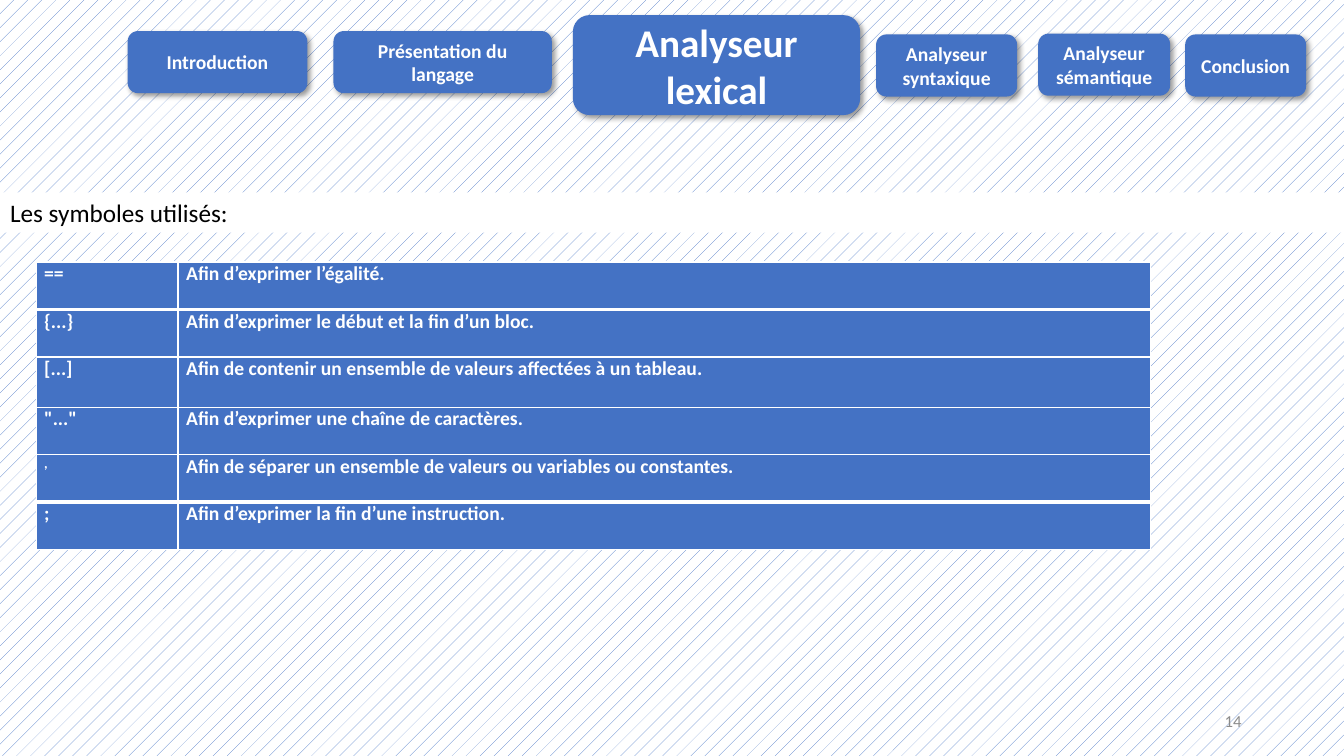
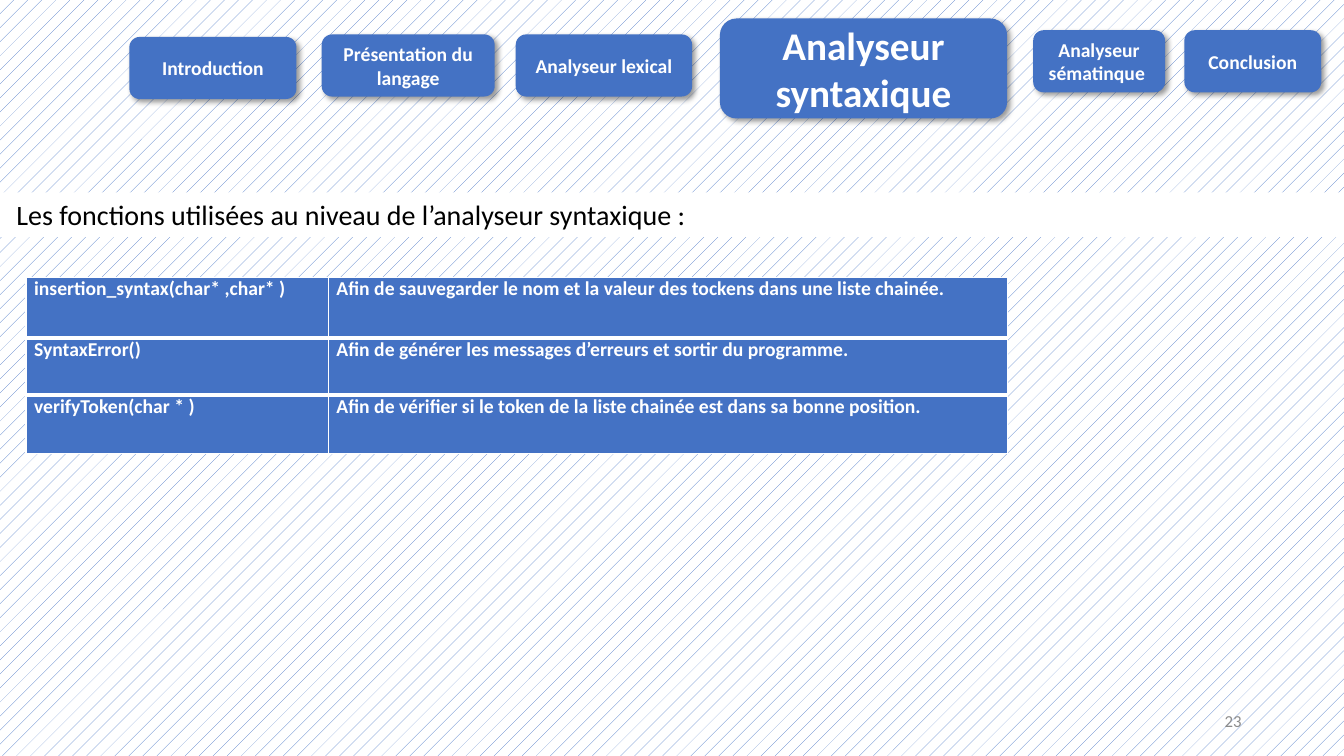
import dataclasses

import lxml.etree
import pptx
import pptx.dml.color
import pptx.enum.dml
import pptx.enum.shapes
import pptx.enum.text
import pptx.oxml.ns
import pptx.util

ALIGN = pptx.enum.text.PP_ALIGN
MIDDLE = pptx.enum.text.MSO_ANCHOR.MIDDLE
qn = pptx.oxml.ns.qn


@dataclasses.dataclass(frozen=True)
class Theme:
    font: str = "Calibri"
    blue: str = "4472C4"
    white: str = "FFFFFF"
    black: str = "000000"
    grey: str = "8C8C8C"
    body: int = 14
    big: int = 28
    foot: int = 12
    tiny: int = 10
    thin: int = 1
    thick: int = 3


def rgb(code):
    return pptx.dml.color.RGBColor.from_string(code)


def child(node, tag, **attrs):
    return lxml.etree.SubElement(
        node, qn(tag), {key: str(val) for key, val in attrs.items()})


class Deck:
    cols = 160
    rows = 90
    unit = pptx.util.Inches(1 / 12)

    def __init__(self, theme):
        self.theme = theme
        self.prs = pptx.Presentation()
        self.prs.slide_width, self.prs.slide_height = self.grid(self.cols, self.rows)
        fill = self.prs.slide_master.background.fill
        fill.patterned()
        fill.pattern = pptx.enum.dml.MSO_PATTERN.PERCENT_5
        fill.fore_color.rgb = rgb(theme.blue)
        fill.back_color.rgb = rgb(theme.white)
        self.slide = None

    def grid(self, *spans):
        return [round(span * self.unit) for span in spans]

    def paint(self, item, code):
        item.fill.solid()
        item.fill.fore_color.rgb = rgb(code)

    def label(self, frame, text, size, code, bold=False, align=ALIGN.LEFT):
        para = frame.paragraphs[0]
        para.alignment = align
        run = para.add_run()
        run.text = text
        font = run.font
        font.name, font.size, font.bold = self.theme.font, pptx.util.Pt(size), bold
        font.color.rgb = rgb(code)
        return para

    def page(self, number, title, size, high):
        self.slide = self.prs.slides.add_slide(self.prs.slide_layouts[5])
        self.band(title, size, high)
        self.number(number)

    def band(self, text, size, high):
        band = self.slide.shapes.title
        band.left, band.top, band.width, band.height = self.grid(
            0, 22.9, self.cols, high)
        self.paint(band, self.theme.white)
        frame = band.text_frame
        frame.auto_size = pptx.enum.text.MSO_AUTO_SIZE.NONE
        frame.vertical_anchor = MIDDLE
        self.label(frame, text, size, self.theme.black)

    def number(self, number):
        box = self.slide.shapes.add_textbox(*self.grid(113, 83.4, 36, 4.8))
        frame = box.text_frame
        frame.word_wrap = True
        frame.vertical_anchor = MIDDLE
        self.label(frame, str(number), self.theme.foot, self.theme.grey,
                   align=ALIGN.RIGHT)

    def tab(self, text, left, top, wide, high, size):
        kind = pptx.enum.shapes.MSO_SHAPE.ROUNDED_RECTANGLE
        tab = self.slide.shapes.add_shape(kind, *self.grid(left, top, wide, high))
        self.paint(tab, self.theme.blue)
        tab.line.fill.background()
        self.shade(tab)
        frame = tab.text_frame
        frame.word_wrap = True
        frame.vertical_anchor = MIDDLE
        self.label(frame, text, size, self.theme.white, True, ALIGN.CENTER)

    def shade(self, shape):
        shape.shadow.inherit = False
        effects = shape.element.spPr.find(qn("a:effectLst"))
        outer = child(effects, "a:outerShdw", blurRad=pptx.util.Pt(4),
                      dist=pptx.util.Pt(3), dir=45 * 60000, algn="tl",
                      rotWithShape=0)
        child(child(outer, "a:srgbClr", val=self.theme.black), "a:alpha", val=40000)

    def menu(self, tabs, active):
        for place, (text, left, top, wide) in enumerate(tabs):
            high, size = (11.9, self.theme.big) if place == active else (
                7.4, self.theme.body)
            self.tab(text, left, top, wide, high, size)

    def edge(self, cell, side, width):
        line = child(cell._tc.get_or_add_tcPr(), "a:ln" + side,
                     w=pptx.util.Pt(width))
        child(child(line, "a:solidFill"), "a:srgbClr", val=self.theme.white)

    def cell(self, cell, text, first, last):
        theme = self.theme
        cell.margin_left = pptx.util.Inches(0.08)
        cell.margin_right = cell.margin_top = cell.margin_bottom = 0
        wide = {"T": last, "B": first}
        for side in "LRTB":
            self.edge(cell, side, theme.thick if wide.get(side) else theme.thin)
        self.paint(cell, theme.blue)
        size = theme.tiny if text == "," else theme.body
        para = self.label(cell.text_frame, text, size, theme.white, True)
        para.space_before = pptx.util.Pt(3.3)

    def table(self, left, top, wides, highs, lines):
        frame = self.slide.shapes.add_table(
            len(highs), len(wides),
            *self.grid(left, top, sum(wides), sum(highs)))
        table = frame.table
        table.first_row = table.horz_banding = False
        for col, wide in zip(table.columns, self.grid(*wides)):
            col.width = wide
        for row, high in zip(table.rows, self.grid(*highs)):
            row.height = high
        for r, line in enumerate(lines):
            for c, text in enumerate(line):
                self.cell(table.cell(r, c), text, r == 0, r == len(lines) - 1)


def main():
    deck = Deck(Theme())

    deck.page(14, "Les symboles utilisés:", 18, 4.8)
    deck.menu([
        ("Introduction", 15.2, 3.7, 21.4),
        ("Présentation du langage", 39.7, 3.7, 26),
        ("Analyseur lexical", 68.2, 1.8, 34.2),
        ("Analyseur syntaxique", 104.3, 4.1, 16.8),
        ("Analyseur sémantique", 123.6, 4, 15.7),
        ("Conclusion", 141.1, 4.1, 14.4),
    ], 2)
    deck.table(4.3, 31.2, [16.9, 115.8], [5.65, 5.65, 6, 5.65, 5.65, 5.65], [
        ("==", "Afin d’exprimer l’égalité."),
        ("{...}", "Afin d’exprimer le début et la fin d’un bloc."),
        ("[...]", "Afin de contenir un ensemble de valeurs affectées à un tableau."),
        ('"..."', "Afin d’exprimer une chaîne de caractères."),
        (",", "Afin de séparer un ensemble de valeurs ou variables ou constantes."),
        (";", "Afin d’exprimer la fin d’une instruction."),
    ])

    deck.page(23, " Les fonctions utilisées au niveau de l’analyseur syntaxique :",
              20, 5.3)
    deck.menu([
        ("Introduction", 15.4, 4.4, 19.9),
        ("Présentation du langage", 38.3, 4.1, 20.6),
        ("Analyseur lexical", 61.4, 4.1, 21),
        ("Analyseur syntaxique", 85.7, 2.2, 34.2),
        ("Analyseur sématinque ", 123, 3.6, 15.7),
        ("Conclusion", 141, 3.6, 16.3),
    ], 3)
    deck.table(3.1, 33, [36, 80.8], [7.2, 6.8, 7], [
        ("insertion_syntax(char* ,char* )",
         "Afin de sauvegarder le nom et la valeur des tockens dans une liste chainée."),
        ("SyntaxError()",
         "Afin de générer les messages d’erreurs et sortir du programme."),
        ("verifyToken(char * )",
         "Afin de vérifier si le token de la liste chainée est dans sa bonne position."),
    ])

    deck.prs.save("out.pptx")


if __name__ == "__main__":
    main()
